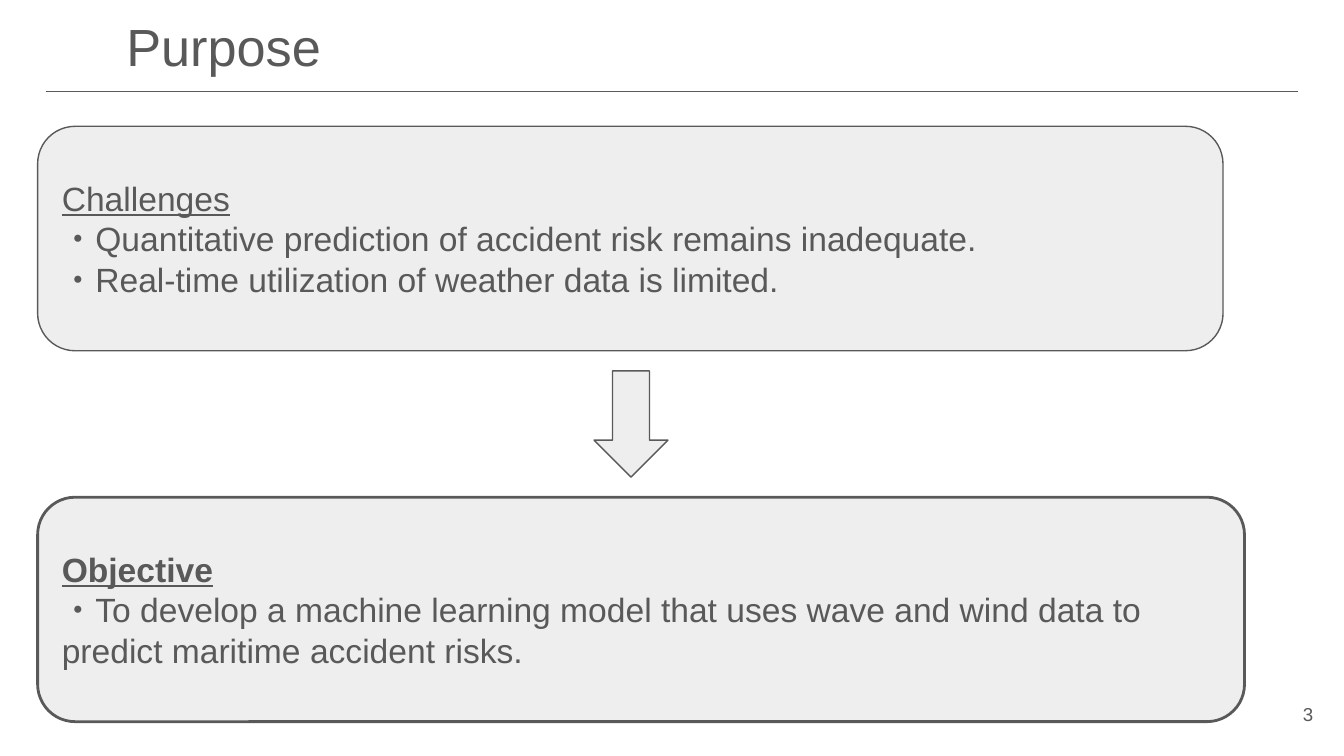
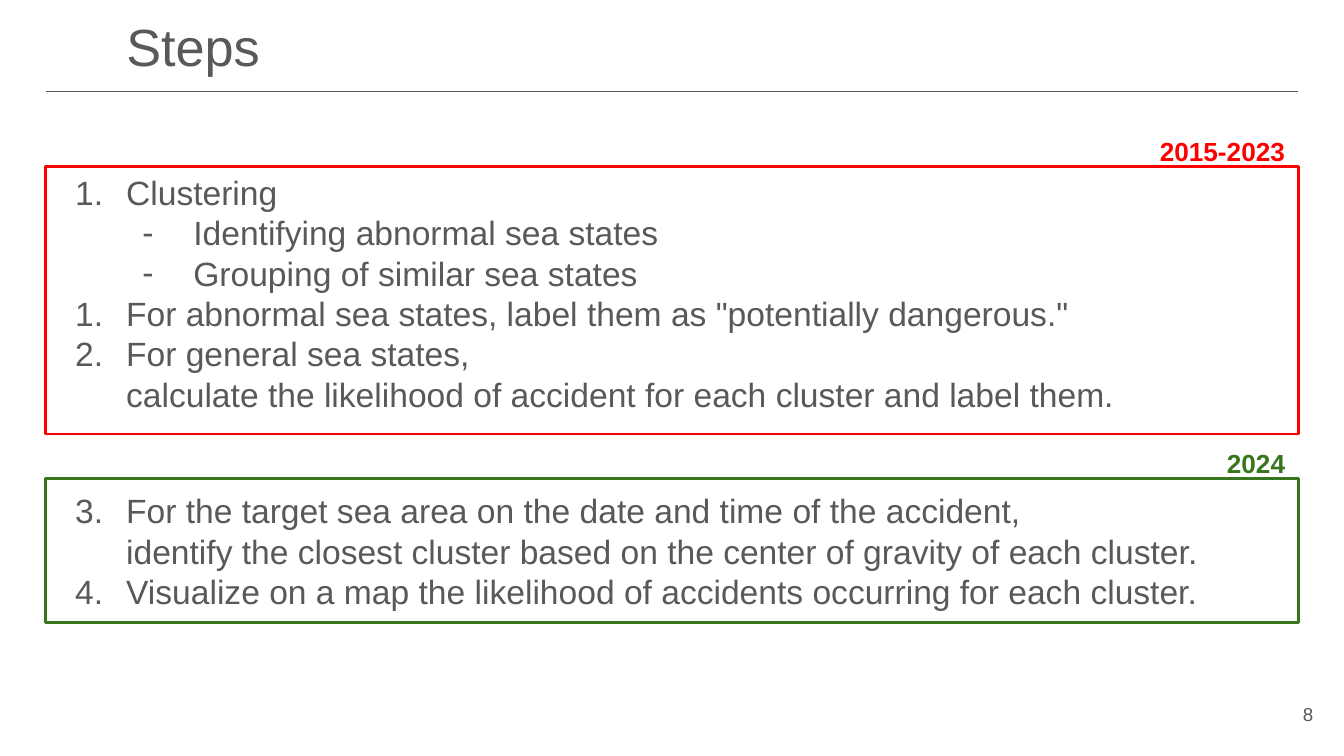
from lxml.etree import SubElement
from pptx import Presentation
from pptx.dml.color import RGBColor as Rgb
from pptx.enum.shapes import MSO_CONNECTOR as Connector, MSO_SHAPE as Shape
from pptx.enum.text import MSO_ANCHOR as Anchor, PP_ALIGN as Align
from pptx.oxml.ns import qn
from pptx.util import Inches, Pt

COLORS = {"ink": "595959", "panel": "EEEEEE", "past": "FF0000", "present": "38761D"}
FONT = "Arial"
CELL = 0.1
MARGIN, CONTENT, RULE_ROW = 3.4, 93.2, 6.8
PANEL_LEFT, PANEL_ROWS = 2.8, 16.7
TAG_COLS, TAG_ROWS = 11.9, 3.4


class Deck:
    """Draws styled elements on the current slide, on a grid of tenth-inch cells."""

    def __init__(self):
        self.prs = Presentation()
        self.prs.slide_width, self.prs.slide_height = Inches(10), Inches(5.625)
        self.slide = None

    def grid(self, *cells):
        return [Inches(cell * CELL) for cell in cells]

    def color(self, name):
        return Rgb.from_string(COLORS[name])

    def frame(self, shape, anchor=Anchor.MIDDLE):
        frame = shape.text_frame
        frame.word_wrap = True
        frame.vertical_anchor = anchor
        frame.margin_left = frame.margin_right = Inches(0.1)
        frame.margin_top = frame.margin_bottom = Inches(0.1)
        return frame

    def put_text(self, para, text, size, color="ink", align=Align.LEFT, bold=False, underline=False):
        para.text = text
        para.alignment = align
        font = para.font
        font.name, font.size, font.bold, font.underline = FONT, Pt(size), bold, underline
        font.color.rgb = self.color(color)

    def indent(self, para, left, first):
        props = para._p.get_or_add_pPr()
        props.set("marL", str(Inches(left)))
        props.set("indent", str(Inches(first)))
        return props

    def paragraphs(self, frame, count):
        return [frame.paragraphs[0]] + [frame.add_paragraph() for _ in range(count - 1)]

    def new_slide(self, heading, number):
        self.slide = self.prs.slides.add_slide(self.prs.slide_layouts[5])
        title = self.slide.shapes.title
        title.left, title.top, title.width, title.height = self.grid(MARGIN, 0, CONTENT, RULE_ROW)
        para = self.frame(title).paragraphs[0]
        self.indent(para, 0, 0.5)
        self.put_text(para, heading, 28)
        rule = self.slide.shapes.add_connector(
            Connector.STRAIGHT, *self.grid(MARGIN, RULE_ROW, MARGIN + CONTENT, RULE_ROW))
        rule.line.color.rgb = self.color("ink")
        rule.line.width = Pt(0.75)
        SubElement(rule._element.spPr, qn("a:effectLst"))
        self.label(str(number), (92.7, 51, 6, 4.3), 10)

    def label(self, text, box, size, color="ink", bold=False):
        label = self.slide.shapes.add_textbox(*self.grid(*box))
        self.put_text(self.frame(label).paragraphs[0], text, size, color, Align.RIGHT, bold)

    def block(self, kind, box, line="ink", weight=0.75, fill="panel"):
        block = self.slide.shapes.add_shape(kind, *self.grid(*box))
        block.shadow.inherit = False
        if fill:
            block.fill.solid()
            block.fill.fore_color.rgb = self.color(fill)
        else:
            block.fill.background()
        block.line.color.rgb = self.color(line)
        block.line.width = Pt(weight)
        return block

    def panel(self, top, cols, heading, points, weight=0.75, bold=False):
        panel = self.block(Shape.ROUNDED_RECTANGLE, (PANEL_LEFT, top, cols, PANEL_ROWS), weight=weight)
        head, *rest = self.paragraphs(self.frame(panel), len(points) + 1)
        self.put_text(head, heading, 18, bold=bold, underline=True)
        for para, point in zip(rest, points):
            self.put_text(para, "・" + point, 18)

    def period(self, years, color, top, rows):
        self.block(Shape.RECTANGLE, (MARGIN, top, CONTENT, rows), color, 1.5, None)
        tag_left = MARGIN + CONTENT - TAG_COLS
        self.label(years, (tag_left, top - 2.85, TAG_COLS, TAG_ROWS), 14, color, True)

    def steps(self, box, items):
        listing = self.slide.shapes.add_textbox(*self.grid(*box))
        frame = self.frame(listing, Anchor.TOP)
        for para, (start, text, gap) in zip(self.paragraphs(frame, len(items)), items):
            props = self.indent(para, 0.5 if start else 1, -0.38)
            tint = SubElement(props, qn("a:buClr"))
            SubElement(tint, qn("a:srgbClr"), val=COLORS["ink"])
            SubElement(props, qn("a:buFont"), typeface=FONT)
            if start:
                SubElement(props, qn("a:buAutoNum"), type="arabicPeriod", startAt=str(start))
            else:
                SubElement(props, qn("a:buChar"), char="-")
            if gap:
                para.space_before = Pt(gap)
            self.put_text(para, text, 18)


def purpose(deck):
    """Builds the slide on challenges and objective."""
    deck.new_slide("Purpose", 3)
    deck.panel(9.4, 88.2, "Challenges", [
        "Quantitative prediction of accident risk remains inadequate.",
        "Real-time utilization of weather data is limited."])
    deck.panel(37, 89.8, "Objective", [
        "To develop a machine learning model that uses wave and wind data to "
        "predict maritime accident risks."], 1.5, True)
    deck.block(Shape.DOWN_ARROW, (44.2, 27.6, 5.5, 7.9))


def steps(deck):
    """Builds the slide on the steps of each period."""
    deck.new_slide("Steps", 8)
    deck.period("2015-2023", "past", 12.4, 19.9)
    deck.period("2024", "present", 35.6, 10.7)
    deck.steps((MARGIN, 11.8, CONTENT, 30.6), [
        (1, "Clustering", 0),
        (None, "Identifying abnormal sea states", 0),
        (None, "Grouping of similar sea states", 0),
        (1, "For abnormal sea states, label them as \"potentially dangerous.\"", 0),
        (1, "For general sea states, \v"
            "calculate the likelihood of accident for each cluster and label them.", 0),
        (3, "For the target sea area on the date and time of the accident, \v"
            "identify the closest cluster based on the center of gravity of each cluster.", 41),
        (3, "Visualize on a map the likelihood of accidents occurring for each cluster.", 0)])


def main():
    """Builds and saves the deck."""
    deck = Deck()
    purpose(deck)
    steps(deck)
    deck.prs.save("out.pptx")


if __name__ == "__main__":
    main()
